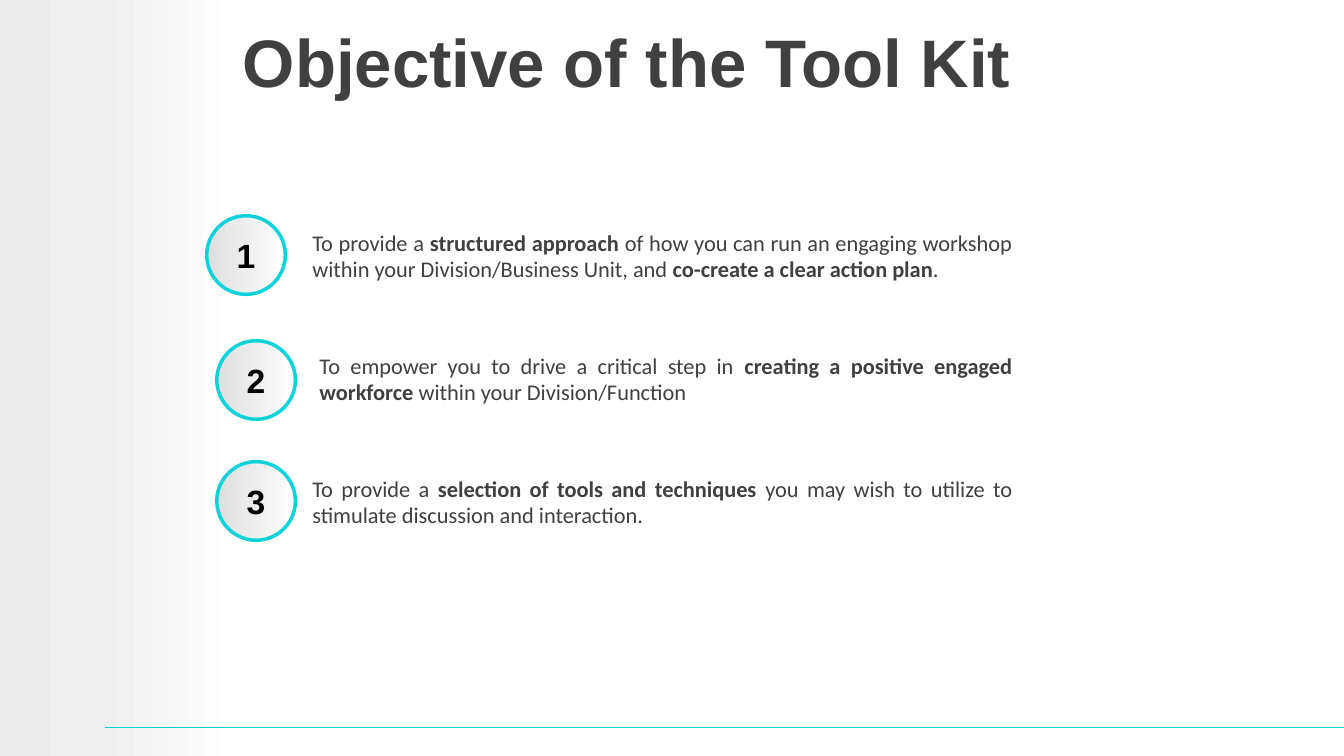
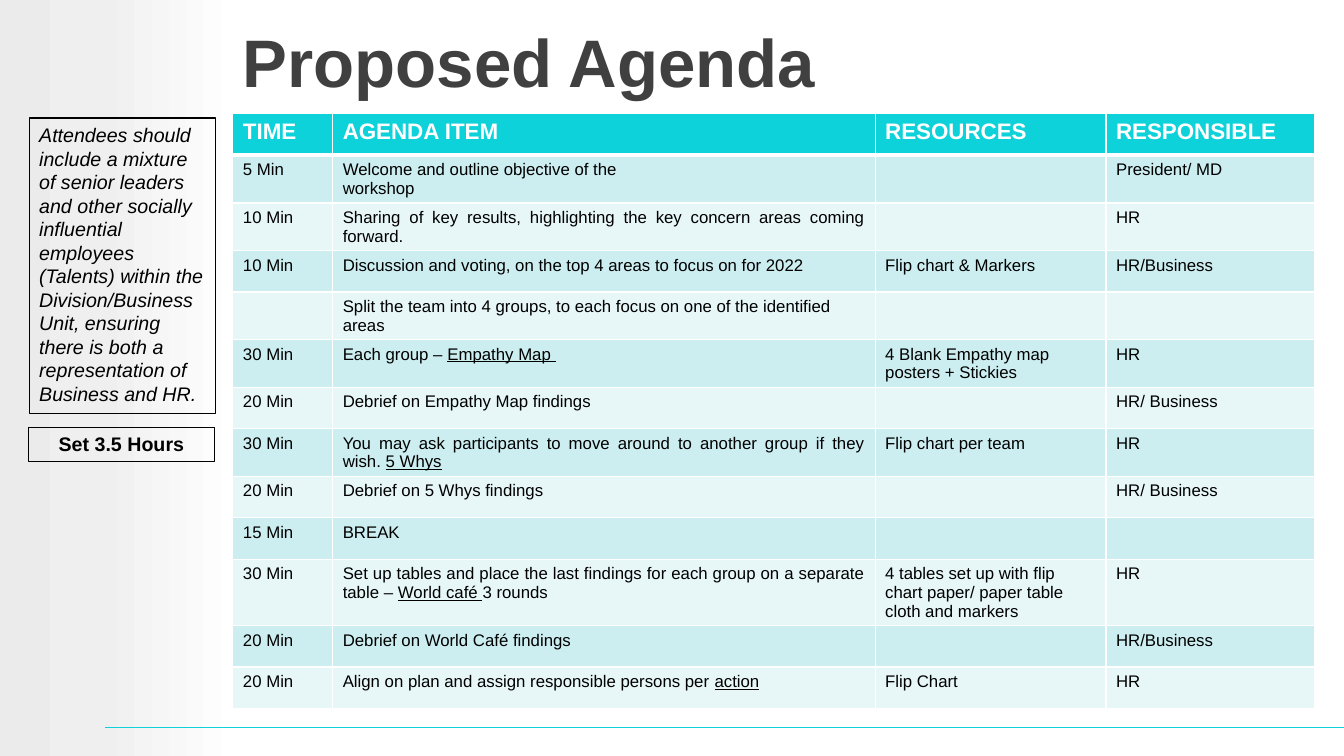
from lxml import etree
from pptx import Presentation
from pptx.dml.color import RGBColor
from pptx.enum.shapes import MSO_CONNECTOR, MSO_SHAPE
from pptx.enum.text import MSO_ANCHOR, MSO_AUTO_SIZE, PP_ALIGN
from pptx.oxml import parse_xml
from pptx.oxml.ns import nsdecls, qn
from pptx.util import Inches, Pt

LEFT, CENTER, JUSTIFY = PP_ALIGN.LEFT, PP_ALIGN.CENTER, PP_ALIGN.JUSTIFY
TOP, MIDDLE = MSO_ANCHOR.TOP, MSO_ANCHOR.MIDDLE
NO_FIT, GROW = MSO_AUTO_SIZE.NONE, MSO_AUTO_SIZE.SHAPE_TO_FIT_TEXT
RECT, OVAL = MSO_SHAPE.RECTANGLE, MSO_SHAPE.OVAL
STRAIGHT = MSO_CONNECTOR.STRAIGHT

W, H = 13.33, 7.5
TITLE_ONLY = 5
COLORS = {"accent": "0DD2D9", "grey": "404040", "black": "000000", "white": "FFFFFF",
          "odd": "CCEEF1", "even": "E7F7F8"}
BAND_STOPS = [(0, "EBEBEB"), (42, "EFEFEF"), (100, "FFFFFF")]
DISC_STOPS = [(0, "DEDEDE"), (100, "FFFFFF")]

TITLE = {"name": "Arial", "size": 48, "bold": True, "color": "grey"}
NUMBER = {"name": "Arial", "size": 24, "bold": True, "color": "black"}
OBJECTIVE = {"name": "Calibri", "size": 16, "color": "grey"}
HEADER = {"name": "Arial", "size": 16, "bold": True, "color": "white"}
CELL = {"name": "Arial", "size": 12, "bold": False, "color": "black"}
NOTE = {"name": "Arial", "size": 14, "italic": True, "color": "black"}
DURATION = {"name": "Arial", "size": 14, "bold": True, "color": "black"}

OBJECTIVES = [
    ("To provide a *structured approach *of how you can run an engaging workshop within your "
     "Division/Business Unit, and *co-create a clear action plan*.", 2.05, 2.14, 3),
    ("To empower you to drive a critical step in *creating a positive engaged workforce *"
     "within your Division/Function", 2.15, 3.38, 3.07),
    ("To provide a *selection of tools and techniques *you may wish to utilize to stimulate "
     "discussion and interaction.", 2.15, 4.58, 3),
]
DISC, TEXT_TOP, TEXT_PITCH, TEXT_RIGHT = 0.78, 2.22, 1.22, 10.14

AGENDA = [
    ("TIME", "AGENDA ITEM", "RESOURCES", "RESPONSIBLE"),
    ("5 Min", "Welcome and outline objective of the\nworkshop", "", "President/ MD"),
    ("10 Min", "Sharing of key results, highlighting the key concern areas coming forward.", "", "HR"),
    ("10 Min", "Discussion and voting, on the top 4 areas to focus on for 2022",
     "Flip chart & Markers", "HR/Business"),
    ("", "Split the team into 4 groups, to each focus on one of the identified\nareas", "", ""),
    ("30 Min", "Each group – *Empathy Map *", "4 Blank Empathy map posters + Stickies", "HR"),
    ("20 Min", "Debrief on Empathy Map findings", "", "HR/ Business"),
    ("30 Min", "You may ask participants to move around to another group if they wish. *5 Whys*",
     "Flip chart per team", "HR"),
    ("20 Min", "Debrief on 5 Whys findings", "", "HR/ Business"),
    ("15 Min", "BREAK", "", ""),
    ("30 Min", "Set up tables and place the last findings for each group on a separate table – "
     "*World café *3 rounds", "4 tables set up with flip chart paper/ paper table cloth and markers", "HR"),
    ("20 Min", "Debrief on World Café findings", "", "HR/Business"),
    ("20 Min", "Align on plan and assign responsible persons per *action*", "Flip Chart", "HR"),
]
COLUMNS = [0.99, 5.38, 2.29, 2.07]
ROW = 0.41
SIDE_NOTES = [
    ("Attendees should include a mixture of senior leaders and other socially influential "
     "employees (Talents) within the Division/Business Unit, ensuring there is both a "
     "representation of Business and HR.", (0.29, 1.17, 1.85, 2.93), NOTE, LEFT, 1),
    ("Set 3.5 Hours", (0.28, 4.24, 1.85, 0.34), DURATION, CENTER, 0.75),
]


def rgb(name):
    return RGBColor.from_string(COLORS[name])


def box(*lengths):
    return [Inches(n) for n in lengths]


def write(tf, text, style, align=LEFT, emphasis="bold"):
    for i, line in enumerate(text.split("\n")):
        p = tf.paragraphs[0] if i == 0 else tf.add_paragraph()
        p.alignment = align
        for j, part in enumerate(line.split("*")):
            if not part:
                continue
            r = p.add_run()
            r.text = part
            values = {**style, emphasis: True} if j % 2 else style
            for key, value in values.items():
                if key == "color":
                    r.font.color.rgb = rgb(value)
                else:
                    setattr(r.font, key, Pt(value) if key == "size" else value)


def set_frame(tf, **values):
    for key, value in {"word_wrap": True, **values}.items():
        setattr(tf, key, value)


def set_gradient(sp, stops):
    sp.fill.background()
    gs = "".join(f'<a:gs pos="{pos * 1000}"><a:srgbClr val="{color}"/></a:gs>' for pos, color in stops)
    grad = parse_xml(f'<a:gradFill {nsdecls("a")} rotWithShape="1"><a:gsLst>{gs}</a:gsLst>'
                     '<a:lin ang="0" scaled="0"/></a:gradFill>')
    spPr = sp._element.spPr
    spPr.replace(spPr.find(qn("a:noFill")), grad)


def add_shape(slide, kind, at, stops=None, line=None, width=1):
    sp = slide.shapes.add_shape(kind, *box(*at))
    sp.shadow.inherit = False
    if stops:
        set_gradient(sp, stops)
    else:
        sp.fill.background()
    if line:
        sp.line.color.rgb = rgb(line)
        sp.line.width = Pt(width)
    else:
        sp.line.fill.background()
    return sp


def set_borders(cell, bottom):
    tcPr = cell._tc.get_or_add_tcPr()
    for i, (side, width) in enumerate([("L", 1), ("R", 1), ("T", 1), ("B", bottom)]):
        tcPr.insert(i, parse_xml(
            f'<a:ln{side} {nsdecls("a")} w="{Pt(width)}"><a:solidFill>'
            f'<a:srgbClr val="{COLORS["white"]}"/></a:solidFill></a:ln{side}>'))


def style_layout(layout, slide):
    band = add_shape(slide, RECT, (0, 0, 2.36, H), BAND_STOPS)
    layout.shapes.element.insert(2, band._element)
    title = layout.placeholders[0]
    title.left, title.top, title.width, title.height = box(2.31, 0.04, W - 2.31, 1.13)


def add_rule(slide):
    rule = slide.shapes.add_connector(STRAIGHT, *box(1.04, 7.22, W, 7.22))
    rule.line.color.rgb = rgb("accent")
    rule.line.width = Pt(1)
    etree.SubElement(rule._element.spPr, qn("a:effectLst"))


def add_slide(prs, title):
    slide = prs.slides.add_slide(prs.slide_layouts[TITLE_ONLY])
    tf = slide.shapes.title.text_frame
    set_frame(tf, vertical_anchor=MIDDLE, auto_size=NO_FIT)
    write(tf, title, TITLE)
    add_rule(slide)
    return slide


def add_objectives(slide):
    for i, (text, disc_x, disc_y, text_x) in enumerate(OBJECTIVES):
        disc = add_shape(slide, OVAL, (disc_x, disc_y, DISC, DISC), DISC_STOPS, "accent", 2.5)
        set_frame(disc.text_frame, vertical_anchor=MIDDLE)
        write(disc.text_frame, str(i + 1), NUMBER, CENTER)
        tb = slide.shapes.add_textbox(
            *box(text_x, TEXT_TOP + i * TEXT_PITCH, TEXT_RIGHT - text_x, 0.64))
        set_frame(tb.text_frame, auto_size=GROW)
        write(tb.text_frame, text, OBJECTIVE, JUSTIFY)


def add_agenda(slide):
    table = slide.shapes.add_table(
        len(AGENDA), len(COLUMNS), *box(2.31, 1.13, sum(COLUMNS), ROW * len(AGENDA))).table
    for column, width in zip(table.columns, COLUMNS):
        column.width = Inches(width)
    for i, row in enumerate(AGENDA):
        table.rows[i].height = Inches(ROW)
        fill = "accent" if i == 0 else "odd" if i % 2 else "even"
        for j, text in enumerate(row):
            cell = table.cell(i, j)
            cell.fill.solid()
            cell.fill.fore_color.rgb = rgb(fill)
            set_borders(cell, 1 if i else 3)
            write(cell.text_frame, text, CELL if i else HEADER,
                  JUSTIFY if i and j == 1 else LEFT, "underline")


def add_side_notes(slide):
    for text, at, style, align, width in SIDE_NOTES:
        sp = add_shape(slide, RECT, at, line="black", width=width)
        set_frame(sp.text_frame, vertical_anchor=TOP, auto_size=GROW)
        write(sp.text_frame, text, style, align)


def main():
    prs = Presentation()
    prs.slide_width, prs.slide_height = box(W, H)
    objective = add_slide(prs, "Objective of the Tool Kit")
    style_layout(prs.slide_layouts[TITLE_ONLY], objective)
    add_objectives(objective)
    agenda = add_slide(prs, "Proposed Agenda")
    add_agenda(agenda)
    add_side_notes(agenda)
    prs.save("out.pptx")


if __name__ == "__main__":
    main()
